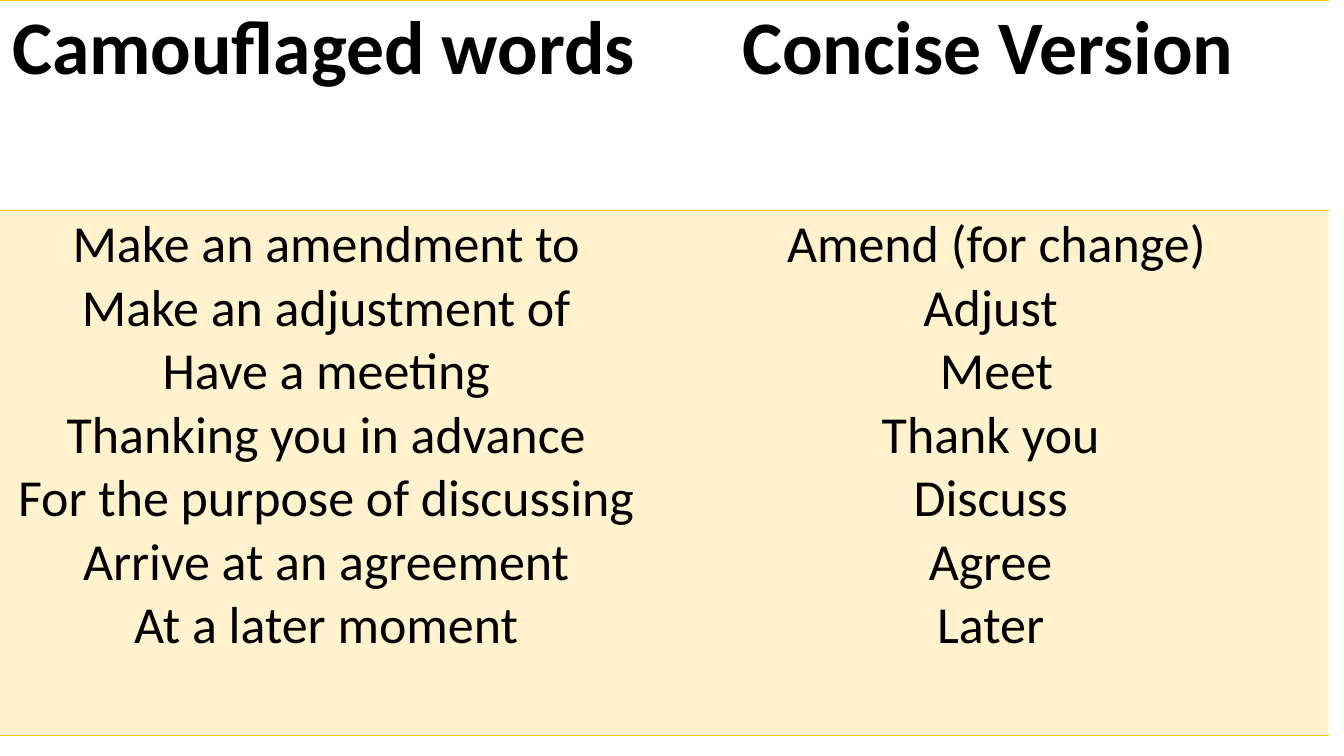
from lxml.etree import SubElement
from pptx import Presentation
from pptx.dml.color import RGBColor
from pptx.enum.text import PP_ALIGN
from pptx.oxml import parse_xml
from pptx.oxml.ns import nsdecls, qn
from pptx.util import Pt

BLACK = RGBColor(0x00, 0x00, 0x00)
GOLD = RGBColor(0xFF, 0xC0, 0x00)
PLAIN_STYLE = "{2D5ABB26-0587-4C30-8999-92F81FD0307C}"
HEADINGS = ["Camouflaged words ", "Concise Version "]
PHRASES = [
    ("Make an amendment to ", "Amend (for change)"),
    ("Make an adjustment of ", "Adjust "),
    ("Have a meeting ", "Meet"),
    ("Thanking you in advance ", "Thank you "),
    ("For the purpose of discussing ", "Discuss "),
    ("Arrive at an agreement ", "Agree "),
    ("At a later moment ", "Later "),
]


def write_cell(cell, lines, size, bold):
    cell.text = "\n".join(lines)
    for para in cell.text_frame.paragraphs:
        para.alignment = PP_ALIGN.CENTER
        para.font.name = "Calibri"
        para.font.size = Pt(size)
        para.font.bold = bold
        para.font.color.rgb = BLACK


def tint_cell(cell):
    cell.fill.solid()
    cell.fill.fore_color.rgb = GOLD
    color = cell._tc.tcPr.find(f".//{qn('a:srgbClr')}")
    SubElement(color, qn("a:alpha"), val="20000")


def rule_cell(cell, sides):
    for position, side in enumerate(sides):
        line = parse_xml(
            f'<a:ln{side} {nsdecls("a")} w="{Pt(1)}"><a:solidFill>'
            f'<a:srgbClr val="{GOLD}"/></a:solidFill></a:ln{side}>'
        )
        cell._tc.get_or_add_tcPr().insert(position, line)


def add_phrase_table(page, left, top, width, heights):
    frame = page.shapes.add_table(
        2, 2, Pt(left), Pt(top), Pt(width), Pt(sum(heights))
    )
    table = frame.table
    table.first_row = table.horz_banding = False
    table._tbl.tblPr.find(qn("a:tableStyleId")).text = PLAIN_STYLE
    for row, height in zip(table.rows, heights):
        row.height = Pt(height)
    for index, (heading, phrases) in enumerate(zip(HEADINGS, zip(*PHRASES))):
        table.columns[index].width = Pt(width / 2)
        head, body = table.cell(0, index), table.cell(1, index)
        write_cell(head, [heading], 96, True)
        head.fill.background()
        rule_cell(head, "TB")
        write_cell(body, phrases, 66, False)
        tint_cell(body)
        rule_cell(body, "TB")


def main():
    deck = Presentation()
    deck.slide_width, deck.slide_height = Pt(1706.4), Pt(959.76)
    page = deck.slides.add_slide(deck.slide_layouts[6])
    add_phrase_table(page, 0, 0, 1687, [267, 666])
    deck.save("out.pptx")


if __name__ == "__main__":
    main()
